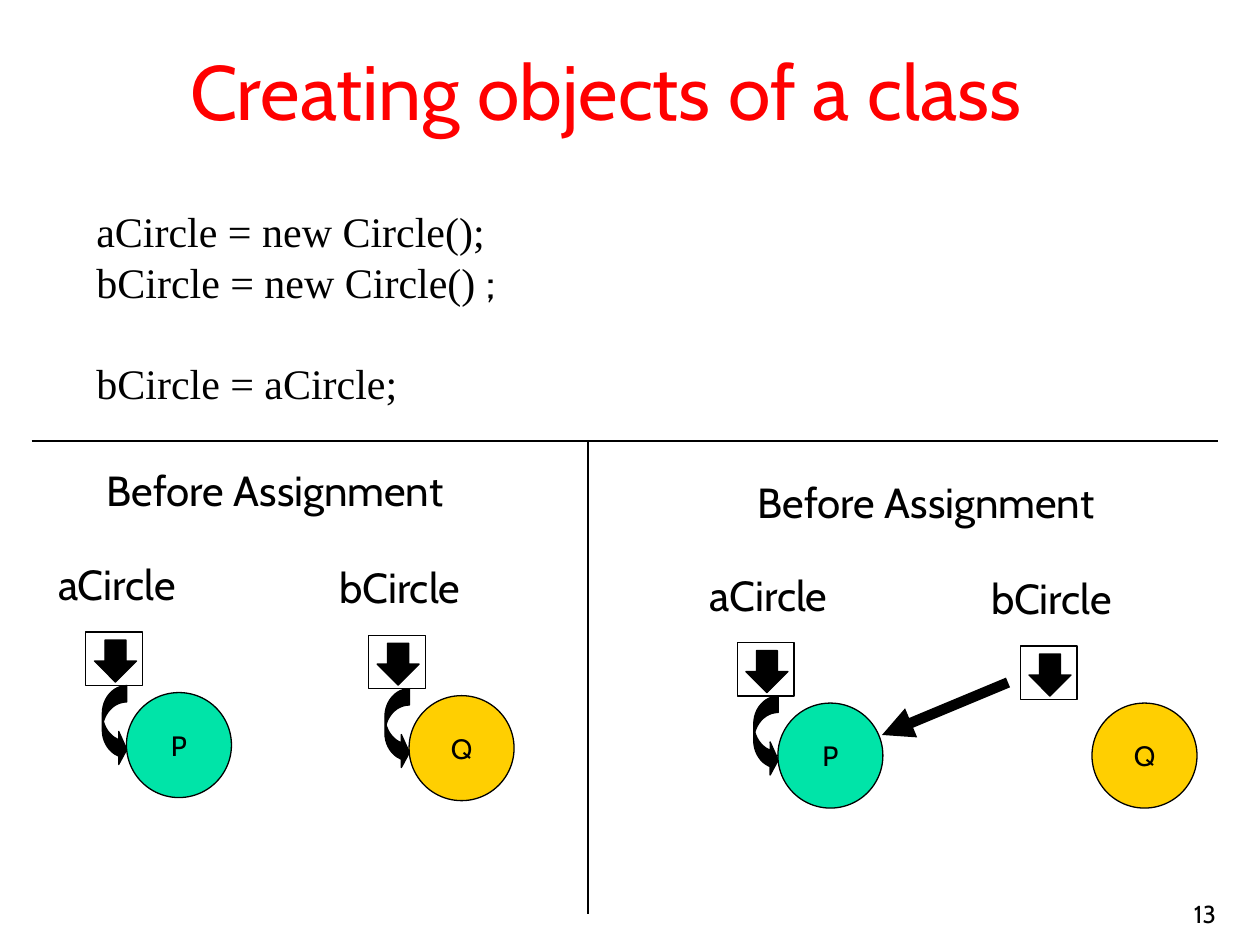
"""Build the slide that shows object references before and after an assignment."""
from dataclasses import dataclass

from lxml import etree
from pptx import Presentation
from pptx.dml.color import RGBColor
from pptx.enum import shapes, text
from pptx.oxml import ns
from pptx.util import Pt

KIND = shapes.MSO_SHAPE
ALIGN = text.PP_ALIGN
ANCHOR = text.MSO_ANCHOR
FIT = text.MSO_AUTO_SIZE


@dataclass(frozen=True)
class Theme:
    sans: str = "Cabin"
    serif: str = "Times New Roman"
    title_size: float = 44
    body_size: float = 24
    object_size: float = 16
    number_size: float = 14
    hairline: float = 0.75
    pointer_width: float = 6
    ink: str = "000000"
    paper: str = "FFFFFF"
    title: str = "FF0000"
    green: str = "00E4A8"
    yellow: str = "FFCF01"


THEME = Theme()


def paint(fill, color):
    fill.solid()
    fill.fore_color.rgb = RGBColor.from_string(color)


def place(item, left, top, width, height):
    item.left, item.top, item.width, item.height = map(Pt, (left, top, width, height))


def write(paragraph, words, size=THEME.body_size, font=THEME.sans,
          color=THEME.ink, align=ALIGN.CENTER, before=0):
    paragraph.alignment = align
    paragraph.space_before = Pt(before)
    run = paragraph.add_run()
    run.text = words
    run.font.size = Pt(size)
    run.font.name = font
    run.font.color.rgb = RGBColor.from_string(color)


def add_text_box(slide, box, wrap=False, anchor=ANCHOR.TOP, fit=FIT.SHAPE_TO_FIT_TEXT):
    text_box = slide.shapes.add_textbox(*map(Pt, box))
    frame = text_box.text_frame
    frame.word_wrap = wrap
    frame.vertical_anchor = anchor
    frame.auto_size = fit
    return text_box


def add_label(slide, words, box):
    write(add_text_box(slide, box).text_frame.paragraphs[0], words)


def add_outlined(slide, kind, box, fill, adjustments=()):
    shape = slide.shapes.add_shape(kind, *map(Pt, box))
    shape.shadow.inherit = False
    paint(shape.fill, fill)
    paint(shape.line.fill, THEME.ink)
    shape.line.width = Pt(THEME.hairline)
    for index, value in enumerate(adjustments):
        shape.adjustments[index] = value
    return shape


def add_line(slide, start, end, width=THEME.hairline, arrow=False):
    line = slide.shapes.add_connector(shapes.MSO_CONNECTOR.STRAIGHT, *map(Pt, start + end))
    paint(line.line.fill, THEME.ink)
    line.line.width = Pt(width)
    if arrow:
        etree.SubElement(line.line._get_or_add_ln(), ns.qn("a:tailEnd"), type="triangle")
    etree.SubElement(line._element.spPr, ns.qn("a:effectLst"))


def add_reference(slide, name, left, top):
    """Draw a named variable as a box holding a down arrow."""
    add_outlined(slide, KIND.RECTANGLE, (left, top, 32.5, 30.5), THEME.paper)
    add_outlined(slide, KIND.DOWN_ARROW, (left + 5, top + 4.5, 24, 24), THEME.ink)
    add_label(slide, name, (left - 27.5, top - 45.5, 91, 36))


def add_curved_pointer(slide, left, top):
    add_outlined(slide, KIND.CURVED_RIGHT_ARROW, (left + 9.5, top + 30.5, 14, 46),
                 THEME.ink, (0.67, 1.35, 0.33))


def add_object(slide, name, fill, left, top):
    circle = add_outlined(slide, KIND.OVAL, (left, top, 60, 60), fill)
    frame = circle.text_frame
    frame.word_wrap = False
    frame.vertical_anchor = ANCHOR.MIDDLE
    write(frame.paragraphs[0], name, size=THEME.object_size)


def add_title(slide):
    title = slide.shapes.title
    place(title, 0, 12, 692.5, 78)
    paint(title.fill, THEME.paper)
    frame = title.text_frame
    frame.auto_size = FIT.NONE
    frame.vertical_anchor = ANCHOR.MIDDLE
    write(frame.paragraphs[0], "Creating objects of a class",
          size=THEME.title_size, color=THEME.title)


def add_code(slide):
    frame = add_text_box(slide, (48, 114, 306, 122.5), wrap=True).text_frame
    creation = frame.paragraphs[0]
    write(creation, "aCircle = new Circle();", font=THEME.serif, align=ALIGN.LEFT)
    creation = frame.add_paragraph()
    write(creation, "bCircle = new Circle() ", font=THEME.serif, align=ALIGN.LEFT)
    write(creation, ";", align=ALIGN.LEFT)
    write(frame.add_paragraph(), "bCircle = aCircle;", font=THEME.serif,
          align=ALIGN.LEFT, before=29)


def add_page_number(slide):
    number = add_text_box(slide, (552, 498, 150, 36), wrap=True,
                          anchor=ANCHOR.BOTTOM, fit=FIT.NONE)
    write(number.text_frame.paragraphs[0], "13", size=THEME.number_size, align=ALIGN.RIGHT)


def main():
    presentation = Presentation()
    presentation.slide_width, presentation.slide_height = Pt(720), Pt(540)
    slide = presentation.slides.add_slide(presentation.slide_layouts[5])
    add_title(slide)
    add_code(slide)

    add_label(slide, "Before Assignment", (42.5, 262, 229.5, 36))
    add_label(slide, "Before Assignment", (414.5, 268.5, 229.5, 36))

    own_pointers = [
        ("aCircle", "P", THEME.green, 49, 361.25),
        ("bCircle", "Q", THEME.yellow, 210.5, 363),
        ("aCircle", "P", THEME.green, 421.25, 367.25),
    ]
    for variable, target, fill, left, top in own_pointers:
        add_reference(slide, variable, left, top)
        add_curved_pointer(slide, left, top)
        add_object(slide, target, fill, left + 23.25, top + 34.5)

    add_reference(slide, "bCircle", 583, 369.25)
    add_object(slide, "Q", THEME.yellow, 624, 401.75)
    add_line(slide, (576, 390), (504, 420), width=THEME.pointer_width, arrow=True)

    add_line(slide, (336, 252), (336, 522))
    add_line(slide, (18, 252), (696, 252))
    add_page_number(slide)
    presentation.save("out.pptx")


if __name__ == "__main__":
    main()
